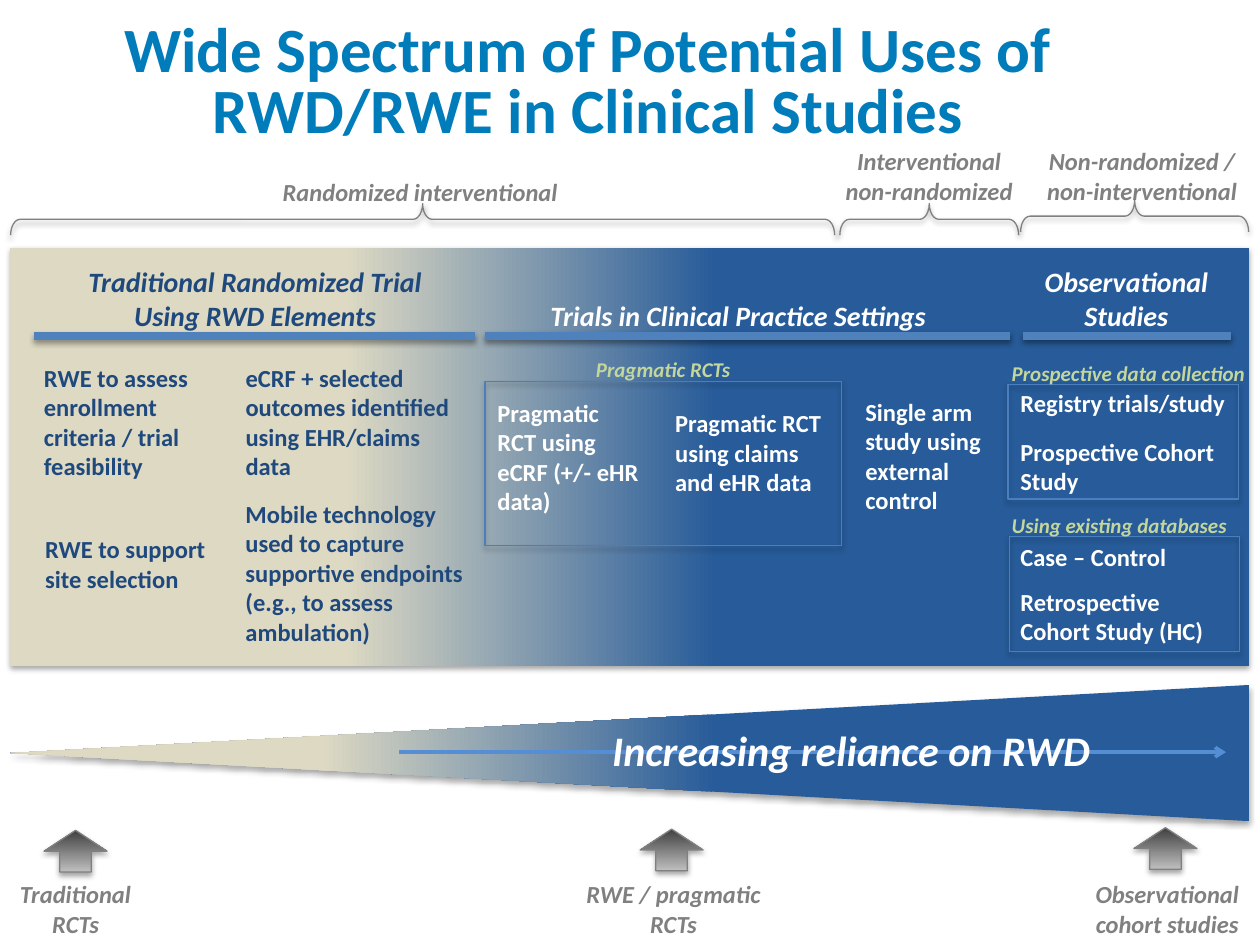
"""Build a slide on the spectrum of uses of RWD/RWE in clinical studies."""
from lxml import etree
from pptx import Presentation
from pptx.dml.color import RGBColor
from pptx.enum.shapes import MSO_CONNECTOR, MSO_SHAPE
from pptx.enum.text import MSO_ANCHOR, MSO_AUTO_SIZE, PP_ALIGN
from pptx.oxml import parse_xml
from pptx.oxml.ns import qn
from pptx.util import Pt

RECTANGLE, UP_ARROW = MSO_SHAPE.RECTANGLE, MSO_SHAPE.UP_ARROW
MERGE, BRACE = MSO_SHAPE.FLOWCHART_MERGE, MSO_SHAPE.RIGHT_BRACE
STRAIGHT = MSO_CONNECTOR.STRAIGHT
LEFT, CENTER = PP_ALIGN.LEFT, PP_ALIGN.CENTER
TOP, MIDDLE, BOTTOM = MSO_ANCHOR.TOP, MSO_ANCHOR.MIDDLE, MSO_ANCHOR.BOTTOM
NO_FIT, GROW = MSO_AUTO_SIZE.NONE, MSO_AUTO_SIZE.SHAPE_TO_FIT_TEXT

FONT = "Calibri"
WHITE = RGBColor(0xFF, 0xFF, 0xFF)
GRAY = RGBColor(0x80, 0x80, 0x80)
DARK_GRAY = RGBColor(0x40, 0x40, 0x40)
LIGHT_GRAY = RGBColor(0xBF, 0xBF, 0xBF)
NAVY = RGBColor(0x1F, 0x49, 0x7D)
BLUE = RGBColor(0x27, 0x5B, 0x99)
TITLE_BLUE = RGBColor(0x00, 0x7C, 0xBA)
RULE_BLUE = RGBColor(0x4F, 0x81, 0xBD)
FRAME_BLUE = RGBColor(0x4B, 0x7E, 0xBC)
ARROW_BLUE = RGBColor(0x55, 0x8E, 0xD5)
BEIGE = RGBColor(0xDD, 0xD9, 0xC3)
GREEN = RGBColor(0xC3, 0xD6, 0x9B)

TITLE = "Wide Spectrum of Potential Uses of RWD/RWE in Clinical Studies"
PANEL = (6, 141.8, 707.8, 239)
WEDGE = (6, 391.4, 707.8, 77.8)

# Each label is text, left, top, width, number of lines.
DESIGN_LABELS = [
    ("Non-randomized / non-interventional", 583.9, 79.9, 137.5, 2),
    ("Interventional non-randomized", 470.9, 79.9, 120.2, 2),
]
RANDOMIZED_LABEL = [("Randomized interventional", 153.4, 97.2, 173.5, 1)]
RWD_ELEMENTS = [
    ("RWE to assess enrollment criteria / trial feasibility", 18, 203.8, 110.9, 4),
    ("RWE to support site selection", 18.7, 301.7, 110.9, 2),
    ("eCRF + selected outcomes identified using EHR/claims data", 133.2, 203.8, 138.2, 4),
    ("Mobile technology\nused to capture supportive endpoints (e.g., to assess ambulation)",
     133.2, 281.5, 144, 5),
]
STUDIES = [
    ("Pragmatic RCT using eCRF (+/- eHR data)", 277.2, 223.9, 95.8, 4),
    ("Pragmatic RCT using claims and eHR data", 378.7, 229.7, 102.2, 3),
    ("Single arm study using external control", 487.4, 223.2, 87.8, 4),
    ("Registry trials/study", 576, 218.2, 172, 1),
    ("Prospective Cohort\nStudy", 576, 246.2, 152.6, 2),
    ("Case – Control", 576, 306, 153.4, 1),
    ("Retrospective Cohort Study (HC)", 576, 331.9, 133.9, 2),
]
TRADITIONAL_HEADING = [
    ("Traditional Randomized Trial Using RWD Elements", 25.9, 147.6, 239.8, 2)]
HEADINGS = [
    ("Trials in Clinical Practice Settings", 303.1, 167, 237.6, 1),
    ("Observational Studies", 580.3, 147.6, 126.7, 2),
]
GROUP_NAMES = [
    ("Pragmatic RCTs", 333.4, 200.2, 95, 1),
    ("Prospective data collection", 571, 202.3, 149.8, 1),
    ("Using existing databases", 571, 289.4, 144.7, 1),
]
RELIANCE = [("Increasing reliance on RWD", 342.7, 410.4, 358.6, 1)]
MILESTONES = [
    ("Traditional RCTs", 3.6, 499, 79.2, 2),
    ("RWE / pragmatic RCTs", 327.6, 499, 114.5, 2),
    ("Observational cohort studies", 609.8, 499, 114.5, 2),
]
HEADING_RULES = [(19.4, 271.4), (277.2, 577.4), (584.6, 703.4)]
RULE_TOP = 192.2
FRAMES = [(576, 219.6, 131.8, 65.5), (576.7, 306.7, 131.8, 65.5), (277.2, 218.2, 203.8, 93.6)]
MILESTONE_ARROWS = [(25.2, 474.5), (365.8, 473.8), (648, 473)]
BRACES = [(6.1, 116.3, 470.9), (479.9, 116.3, 102.2), (583.2, 114.5, 130.3)]
BRACE_HEIGHT = 18


def points(*values):
    return [Pt(value) for value in values]


def add_shadow(shape, opacity=35, distance=1.8):
    shape._element.spPr.append(parse_xml(
        '<a:effectLst xmlns:a="http://schemas.openxmlformats.org/drawingml/2006/main">'
        f'<a:outerShdw blurRad="{Pt(3.1)}" dist="{Pt(distance)}" dir="5400000" rotWithShape="0">'
        f'<a:srgbClr val="000000"><a:alpha val="{opacity * 1000}"/></a:srgbClr>'
        '</a:outerShdw></a:effectLst>'))


def add_outline(shape, color):
    shape.line.color.rgb = color
    shape.line.width = Pt(0.75)


def add_gradient(shape, stops, angle):
    shape.fill.gradient()
    shape.fill.gradient_angle = angle
    for stop, (position, color) in zip(shape.fill.gradient_stops, stops):
        stop.position = position
        stop.color.rgb = color


def add_turned(slide, kind, left, top, width, height, rotation):
    shape = slide.shapes.add_shape(kind, *points(
        left + (width - height) / 2, top + (height - width) / 2, height, width))
    shape.rotation = rotation
    return shape


def add_line(slide, start, end, y, color, width):
    line = slide.shapes.add_connector(STRAIGHT, *points(start, y, end, y))
    line.line.color.rgb = color
    line.line.width = Pt(width)
    return line


def format_text(frame, size, color, italic, align, anchor, wrap=True):
    frame.word_wrap = wrap
    frame.vertical_anchor = anchor
    for paragraph in frame.paragraphs:
        paragraph.alignment = align
        font = paragraph.font
        font.name, font.size, font.bold, font.italic = FONT, Pt(size), True, italic
        font.color.rgb = color


def add_labels(slide, labels, size, color, italic=True, align=CENTER, anchor=TOP,
               wrap=True, fill=None):
    for text, left, top, width, lines in labels:
        box = slide.shapes.add_textbox(*points(left, top, width, 7.2 + 1.2 * size * lines))
        box.text_frame.text = text
        format_text(box.text_frame, size, color, italic, align, anchor, wrap)
        box.text_frame.auto_size = GROW
        if fill is not None:
            box.fill.solid()
            box.fill.fore_color.rgb = fill


def add_title(slide):
    title = slide.shapes.title
    title.left, title.top, title.width, title.height = points(25.2, 12.2, 621.4, 72.7)
    title.text_frame.text = TITLE
    format_text(title.text_frame, 36, TITLE_BLUE, False, CENTER, MIDDLE)
    title.text_frame.auto_size = NO_FIT
    title.text_frame.paragraphs[0].line_spacing = Pt(35)


def main():
    presentation = Presentation()
    presentation.slide_width, presentation.slide_height = points(720, 540)
    slide = presentation.slides.add_slide(presentation.slide_layouts[5])
    add_title(slide)

    panel = slide.shapes.add_shape(RECTANGLE, *points(*PANEL))
    wedge = add_turned(slide, MERGE, *WEDGE, 90)
    for shape, beige_start, angle in ((panel, 0.73, 180), (wedge, 0.75, 270)):
        add_gradient(shape, [(0.43, BLUE), (beige_start, BEIGE)], angle)
        shape.line.fill.background()
        add_shadow(shape)

    for start, end in HEADING_RULES:
        add_shadow(add_line(slide, start, end, RULE_TOP, RULE_BLUE, 4.5), 38, 1.6)
    for frame in FRAMES:
        shape = slide.shapes.add_shape(RECTANGLE, *points(*frame))
        shape.fill.background()
        add_outline(shape, FRAME_BLUE)
        add_shadow(shape)

    reliance_arrow = add_line(slide, 228.2, 700.6, 429.8, ARROW_BLUE, 2)
    etree.SubElement(reliance_arrow.line._get_or_add_ln(), qn("a:tailEnd"), type="arrow")
    etree.SubElement(reliance_arrow._element.spPr, qn("a:effectLst"))

    add_labels(slide, RANDOMIZED_LABEL, 14, GRAY, anchor=BOTTOM, wrap=False)
    add_labels(slide, DESIGN_LABELS, 14, GRAY, anchor=BOTTOM)
    add_labels(slide, RWD_ELEMENTS, 14, NAVY, italic=False, align=LEFT)
    add_labels(slide, STUDIES, 14, WHITE, italic=False, align=LEFT)
    add_labels(slide, TRADITIONAL_HEADING, 16, NAVY)
    add_labels(slide, HEADINGS, 16, WHITE)
    add_labels(slide, GROUP_NAMES, 12, GREEN, align=LEFT, wrap=False)
    add_labels(slide, RELIANCE, 24, WHITE, align=LEFT)
    add_labels(slide, MILESTONES, 14, GRAY, fill=WHITE)

    for left, top in MILESTONE_ARROWS:
        arrow = slide.shapes.add_shape(UP_ARROW, *points(left, top, 36, 23.8))
        add_gradient(arrow, [(0, DARK_GRAY), (1, LIGHT_GRAY)], 270)
        add_outline(arrow, GRAY)
        add_shadow(arrow)
    for left, top, width in BRACES:
        brace = add_turned(slide, BRACE, left, top, width, BRACE_HEIGHT, 270)
        brace.adjustments[0] = 0.3
        brace.fill.background()
        add_outline(brace, GRAY)
        add_shadow(brace, 38, 1.6)

    presentation.save("out.pptx")


if __name__ == "__main__":
    main()
